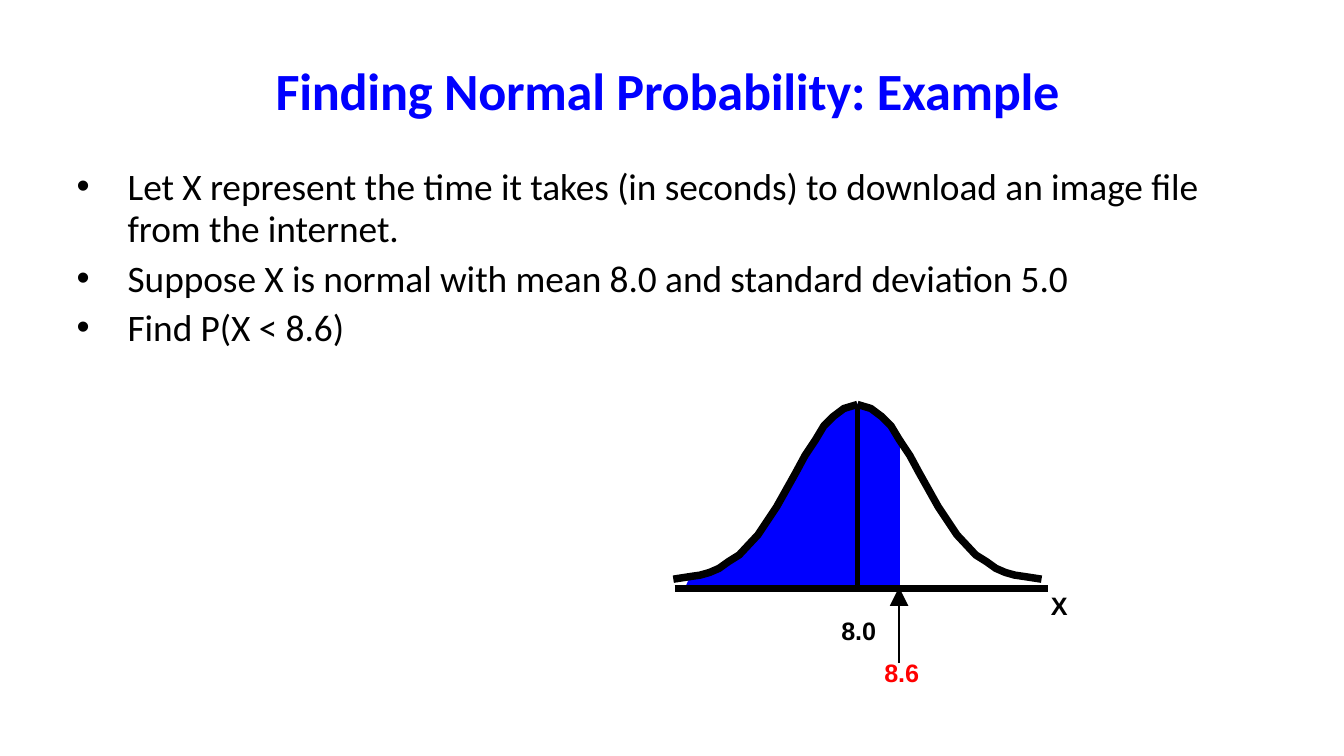
from dataclasses import dataclass

from lxml.etree import SubElement
from pptx import Presentation
from pptx.dml.color import RGBColor as RGB
from pptx.enum.shapes import MSO_CONNECTOR as Connector
from pptx.oxml.ns import qn
from pptx.util import Inches, Pt

# The slide is a grid of 100 columns; every cell is a square of CELL.
CELL = Inches(0.1)
COLUMNS, ROWS = 100, 56.25


@dataclass(frozen=True)
class Theme:
    blue: RGB = RGB(0, 0, 255)
    black: RGB = RGB(0, 0, 0)
    red: RGB = RGB(255, 0, 0)
    text_font: str = "Calibri"
    label_font: str = "Arial"
    title_size: float = 28
    body_size: float = 20
    label_size: float = 13.5
    tracking: int = -5  # hundredths of a point


THEME = Theme()

TITLE = "Finding Normal Probability: Example"
BULLETS = [
    "Let X represent the time it takes (in seconds) to download an image file "
    "from the internet.",
    "Suppose X is normal with mean 8.0 and standard deviation 5.0",
    "Find P(X < 8.6)",
]

# Diagram positions, in cells
MEAN, BOUND, BASE = 63.8, 66.9, 43.8
AXIS_LEFT, AXIS_RIGHT = 50.2, 78
SHADE_LEFT = 51
# Half of the bell: distance from the mean, row
HALF_BELL = [
    (13.7, 43.1), (12.4, 42.9), (11.7, 42.8), (11, 42.6), (10.3, 42.3),
    (9.6, 41.8), (8.8, 41.3), (7.4, 39.8), (6, 37.7), (4.6, 35.2),
    (3.9, 33.9), (3.1, 32.7), (2.5, 31.7), (1.8, 31), (1, 30.4), (0, 30.1),
]


def cells(*counts):
    return [round(count * CELL) for count in counts]


def add_text_frame(slide, left, top, width, height, inset=0.1):
    frame = slide.shapes.add_textbox(*cells(left, top, width, height)).text_frame
    frame.word_wrap = True
    frame.margin_left = frame.margin_right = frame.margin_bottom = 0
    frame.margin_top = cells(inset)[0]
    return frame


def add_run(paragraph, text, font, size, color, bold=True, tracking=0):
    run = paragraph.add_run()
    run.text = text
    run.font.name = font
    run.font.size = Pt(size)
    run.font.bold = bold
    run.font.color.rgb = color
    if tracking:
        run._r.get_or_add_rPr().set("spc", str(tracking))


def indent(paragraph, margin, first_line=0):
    properties = paragraph._p.get_or_add_pPr()
    margin, first_line = cells(margin, first_line)
    properties.set("marL", str(margin))
    properties.set("indent", str(first_line))
    return properties


def add_bullets(slide, texts):
    frame = add_text_frame(slide, 5.6, 12.2, 84.2, 14)
    for index, text in enumerate(texts):
        paragraph = frame.paragraphs[0] if index == 0 else frame.add_paragraph()
        properties = indent(paragraph, 3.9, -3.8)
        SubElement(properties, qn("a:buFont"), typeface="Arial")
        SubElement(properties, qn("a:buChar"), char="•")
        if index == 0:
            paragraph.line_spacing = Pt(22.8)
        else:
            paragraph.space_before = Pt(2.4)
        add_run(paragraph, text, THEME.text_font, THEME.body_size,
                THEME.black, bold=False, tracking=THEME.tracking)


def add_path(slide, strokes, line_color, line_width, fill=None):
    """Draw one freeform made of several strokes, closed when it has a fill."""
    builder = None
    for start, *rest in strokes:
        if builder is None:
            builder = slide.shapes.build_freeform(*cells(*start), scale=1.0)
        else:
            builder.move_to(*cells(*start))
        builder.add_line_segments([cells(*point) for point in rest],
                                  close=fill is not None)
    shape = builder.convert_to_shape()
    shape.shadow.inherit = False
    if fill is None:
        shape.fill.background()
    else:
        shape.fill.solid()
        shape.fill.fore_color.rgb = fill
    shape.line.color.rgb = line_color
    shape.line.width = Pt(line_width)


def add_line(slide, start, end, width, arrow=False):
    line = slide.shapes.add_connector(Connector.STRAIGHT, *cells(*start, *end))
    line.line.color.rgb = THEME.black
    line.line.width = Pt(width)
    if arrow:
        SubElement(line.line._get_or_add_ln(), qn("a:tailEnd"),
                   type="triangle", w="lg", len="lg")
    SubElement(line._element.spPr, qn("a:effectLst"))


def add_bell(slide):
    rising = [(MEAN - distance, row) for distance, row in HALF_BELL]
    falling = [(MEAN + distance, row) for distance, row in reversed(HALF_BELL)]

    def shade(curve, left, right):
        under = [(x, y) for x, y in curve if left <= x <= right]
        area = [(left, BASE), *under, (right, BASE)]
        add_path(slide, [area], THEME.blue, 0.75, fill=THEME.blue)

    shade(falling, MEAN, BOUND)
    shade(rising, SHADE_LEFT, MEAN)
    add_line(slide, (MEAN, 30.3), (MEAN, BASE), 2.5)
    axis = [(AXIS_LEFT, BASE), (AXIS_RIGHT, BASE)]
    add_path(slide, [falling, rising, axis], THEME.black, 4)


def add_labels(slide):
    style = THEME.label_font, THEME.label_size
    axis_name = add_text_frame(slide, 78.1, 43.8, 1.5, 2.5).paragraphs[0]
    indent(axis_name, 0.1)
    add_run(axis_name, "X", *style, THEME.black)

    values = add_text_frame(slide, 62.5, 44.8, 6, 6.5, inset=1)
    mean = values.paragraphs[0]
    indent(mean, 0.1)
    add_run(mean, "8.0", *style, THEME.black)
    bound = values.add_paragraph()
    indent(bound, 3.3)
    bound.space_before = Pt(6.3)
    add_run(bound, "8.6", *style, THEME.red)


def main():
    deck = Presentation()
    deck.slide_width, deck.slide_height = cells(COLUMNS, ROWS)
    slide = deck.slides.add_slide(deck.slide_layouts[6])

    title = add_text_frame(slide, 20.4, 4.2, 59.2, 4.9).paragraphs[0]
    indent(title, 0.1)
    add_run(title, TITLE, THEME.text_font, THEME.title_size, THEME.blue,
            tracking=2 * THEME.tracking)
    add_bullets(slide, BULLETS)
    add_bell(slide)
    add_labels(slide)
    add_line(slide, (BOUND, 49.3), (BOUND, 43.7), 1, arrow=True)
    deck.save("out.pptx")


if __name__ == "__main__":
    main()
